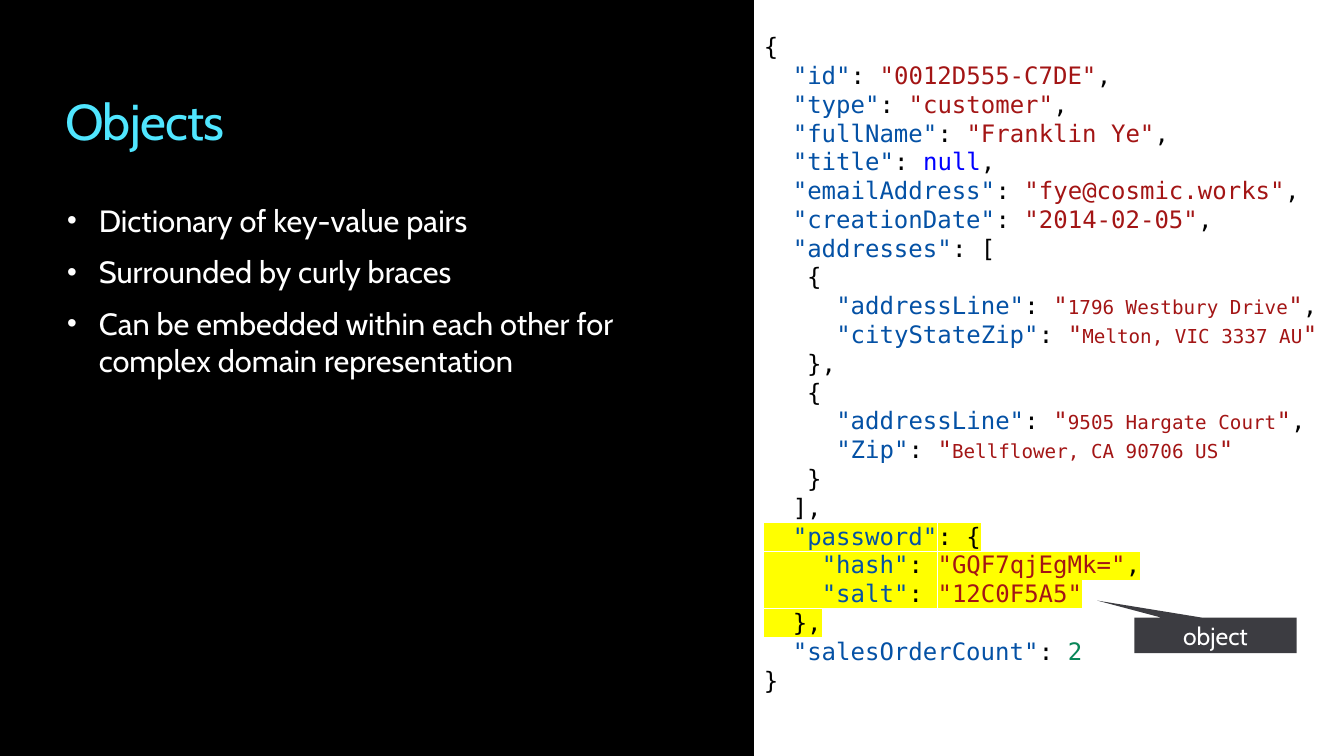
from lxml.etree import SubElement
from pptx import Presentation
from pptx.dml.color import RGBColor
from pptx.enum.shapes import MSO_SHAPE
from pptx.enum.text import MSO_ANCHOR, MSO_AUTO_SIZE, PP_ALIGN
from pptx.oxml.ns import qn
from pptx.util import Inches, Pt

BLACK = RGBColor(0x00, 0x00, 0x00)
WHITE = RGBColor(0xFF, 0xFF, 0xFF)
CYAN = RGBColor(0x50, 0xE6, 0xFF)
CHARCOAL = RGBColor(0x3C, 0x3C, 0x41)
KEY_BLUE = RGBColor(0x04, 0x51, 0xA5)
STRING_RED = RGBColor(0xA3, 0x15, 0x15)
NULL_BLUE = RGBColor(0x00, 0x00, 0xFF)
NUMBER_GREEN = RGBColor(0x09, 0x86, 0x58)
YELLOW = RGBColor(0xFF, 0xFF, 0x00)

SANS, MONO = "Cabin", "DejaVu Sans Mono"
CODE_SIZE, ADDRESS_SIZE = Pt(17.5), Pt(14)

TITLE = "Objects"
POINTS = [
    "Dictionary of key-value pairs",
    "Surrounded by curly braces",
    "Can be embedded within each other for complex domain representation",
]
CALLOUT = "object"
JSON_LINES = [
    '{',
    '  "id": "0012D555-C7DE",',
    '  "type": "customer",',
    '  "fullName": "Franklin Ye",',
    '  "title": null,',
    '  "emailAddress": "fye@cosmic.works",',
    '  "creationDate": "2014-02-05",',
    '  "addresses": [',
    '   {',
    '     "addressLine": "1796 Westbury Drive",',
    '     "cityStateZip": "Melton, VIC 3337 AU"',
    '   },',
    '   {',
    '     "addressLine": "9505 Hargate Court",',
    '     "Zip": "Bellflower, CA 90706 US"',
    '   }',
    '  ],',
    '  "password": {',
    '    "hash": "GQF7qjEgMk=",',
    '    "salt": "12C0F5A5"',
    '  },',
    '  "salesOrderCount": 2',
    '}',
]
ADDRESS_KEYS = {"addressLine", "cityStateZip", "Zip"}
HIGHLIGHTED_LINES = range(17, 21)


def split_tokens(line):
    """Return the (text, colour, size) pieces of one line of JSON."""
    if '"' not in line:
        return [(line, BLACK, CODE_SIZE)]
    indent, key, rest = line.split('"', 2)
    tokens = [(indent, BLACK, CODE_SIZE), (f'"{key}"', KEY_BLUE, CODE_SIZE)]
    literal = rest[2:].rstrip(",")
    comma = rest[2 + len(literal):]
    if literal in "[{":
        return tokens + [(rest, BLACK, CODE_SIZE)]
    tokens.append((": ", BLACK, CODE_SIZE))
    if key in ADDRESS_KEYS:
        tokens += [('"', STRING_RED, CODE_SIZE),
                   (literal.strip('"'), STRING_RED, ADDRESS_SIZE),
                   ('"', STRING_RED, CODE_SIZE)]
    else:
        colour = {"null": NULL_BLUE, "2": NUMBER_GREEN}.get(literal, STRING_RED)
        tokens.append((literal, colour, CODE_SIZE))
    return tokens + ([(comma, BLACK, CODE_SIZE)] if comma else [])


def place(shape, left, top, width, height):
    """Move and size a shape, in inches."""
    shape.left, shape.top = Inches(left), Inches(top)
    shape.width, shape.height = Inches(width), Inches(height)


def set_frame(frame, across=0, down=0, anchor=MSO_ANCHOR.TOP, wrap=True):
    """Set the insets, anchor and wrapping of a text frame."""
    frame.margin_left = frame.margin_right = Inches(across)
    frame.margin_top = frame.margin_bottom = Inches(down)
    frame.vertical_anchor = anchor
    frame.word_wrap = wrap
    frame.auto_size = MSO_AUTO_SIZE.NONE


def set_font(font, name, size, colour):
    """Set the typeface, size and colour of a font."""
    font.name, font.size = name, size
    font.color.rgb = colour


def add_block(slide, preset, box, colour):
    """Add a flat filled shape without outline."""
    block = slide.shapes.add_shape(preset, *map(Inches, box))
    block.shadow.inherit = False
    block.fill.solid()
    block.fill.fore_color.rgb = colour
    block.line.fill.background()
    return block


def highlight(run):
    """Put a yellow marker behind a run."""
    properties = run.font.fill._xPr
    marker = SubElement(properties, qn("a:highlight"))
    SubElement(marker, qn("a:srgbClr"), val=str(YELLOW))
    properties.find(qn("a:solidFill")).addnext(marker)


def add_title(slide):
    """Fill the title placeholder."""
    title = slide.shapes.title
    place(title, 0.66, 0.91, 6.7, 0.63)
    set_frame(title.text_frame)
    heading = title.text_frame.paragraphs[0]
    heading.alignment = PP_ALIGN.LEFT
    run = heading.add_run()
    run.text = TITLE
    run._r.get_or_add_rPr().set("spc", "-50")
    set_font(heading.font, SANS, Pt(36.7), CYAN)


def add_points(slide):
    """Fill the body placeholder with the bullet list."""
    body = slide.placeholders[1]
    place(body, 0.68, 2.04, 5.56, 1.83)
    set_frame(body.text_frame)
    body.text_frame.text = "\n".join(POINTS)
    for point in body.text_frame.paragraphs:
        point.space_after = Pt(6.1)
        properties = point._p.get_or_add_pPr()
        properties.set("marL", str(Inches(0.32)))
        properties.set("indent", str(-Inches(0.32)))
        SubElement(properties, qn("a:buSzPct"), val="90000")
        SubElement(properties, qn("a:buFont"), typeface="Arial")
        SubElement(properties, qn("a:buChar"), char="•")
        set_font(point.font, SANS, Pt(22.4), WHITE)


def add_code(slide):
    """Add the coloured JSON listing."""
    listing = slide.shapes.add_textbox(*map(Inches, (7.73, 0.32, 5.5, 6.75)))
    frame = listing.text_frame
    set_frame(frame, wrap=False)
    for number, line in enumerate(JSON_LINES):
        row = frame.add_paragraph() if number else frame.paragraphs[0]
        row.font.name = MONO
        for text, colour, size in split_tokens(line):
            run = row.add_run()
            run.text = text
            run.font.size = size
            run.font.color.rgb = colour
            if number in HIGHLIGHTED_LINES:
                highlight(run)


def add_callout(slide):
    """Add the callout that points at the highlighted object."""
    callout = add_block(slide, MSO_SHAPE.RECTANGULAR_CALLOUT,
                        (11.48, 6.25, 1.64, 0.36), CHARCOAL)
    callout.adjustments[0], callout.adjustments[1] = -0.73, -0.98
    set_frame(callout.text_frame, 0.2, 0.16, MSO_ANCHOR.MIDDLE)
    callout.text_frame.text = CALLOUT
    label = callout.text_frame.paragraphs[0]
    label.alignment = PP_ALIGN.CENTER
    set_font(label.font, SANS, Pt(18), WHITE)


def main():
    """Build the slide and save it."""
    deck = Presentation()
    deck.slide_width, deck.slide_height = Inches(13.6), Inches(7.65)
    slide = deck.slides.add_slide(deck.slide_layouts[1])
    panel = add_block(slide, MSO_SHAPE.RECTANGLE, (0, -0.01, 7.63, 7.66), BLACK)
    slide.shapes.title.element.addprevious(panel.element)
    add_title(slide)
    add_points(slide)
    add_code(slide)
    add_callout(slide)
    deck.save("out.pptx")


if __name__ == "__main__":
    main()
